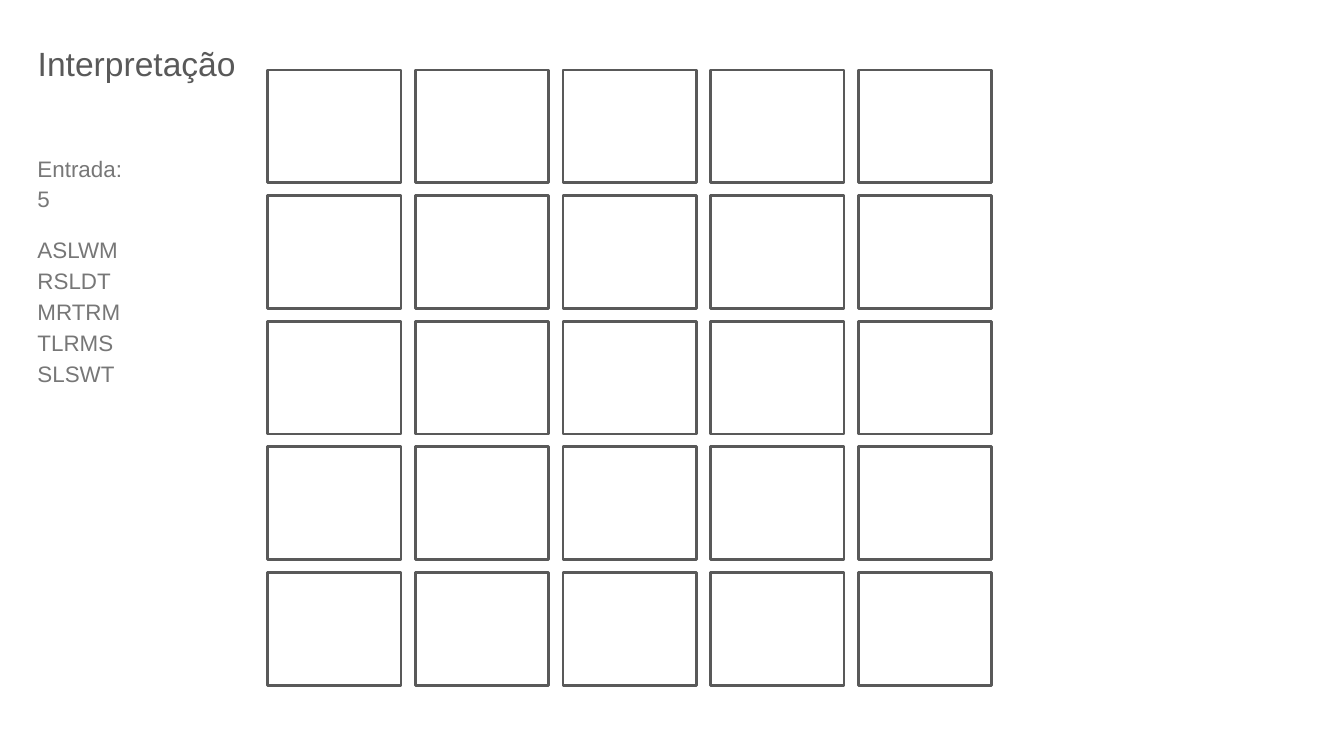
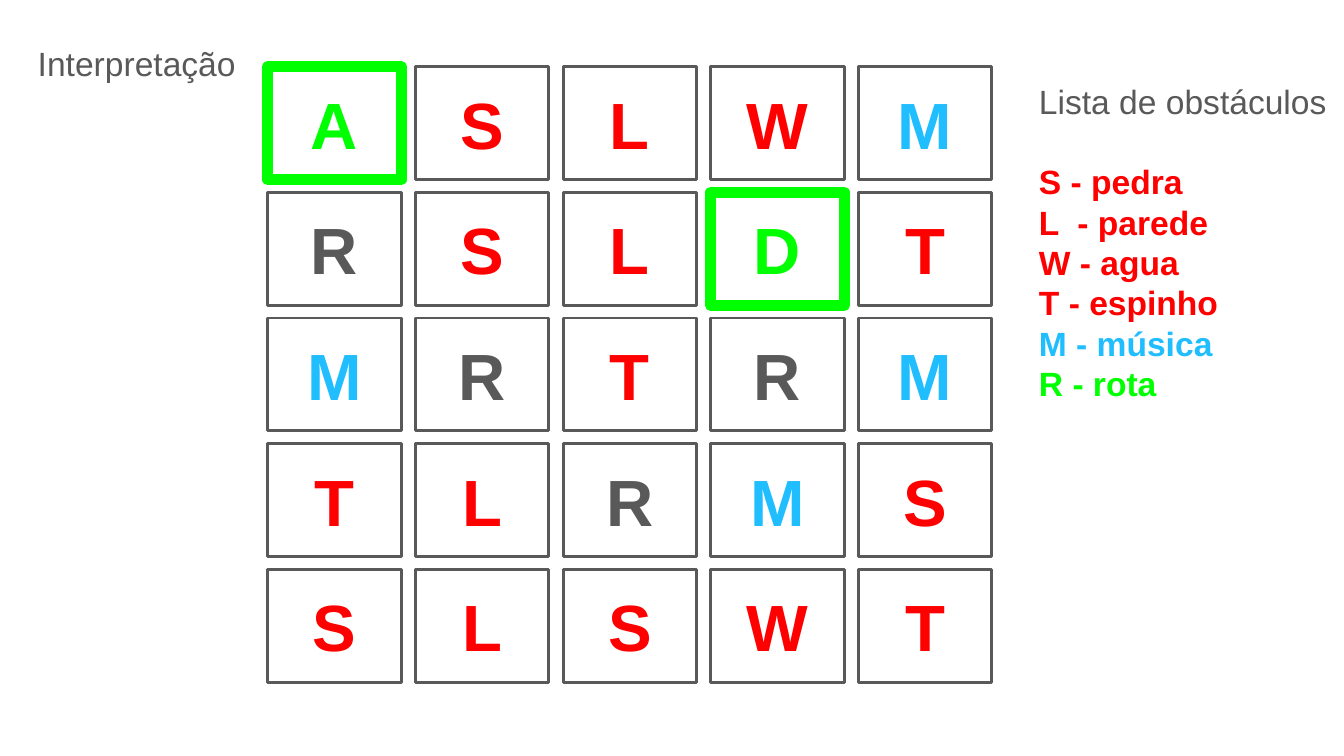
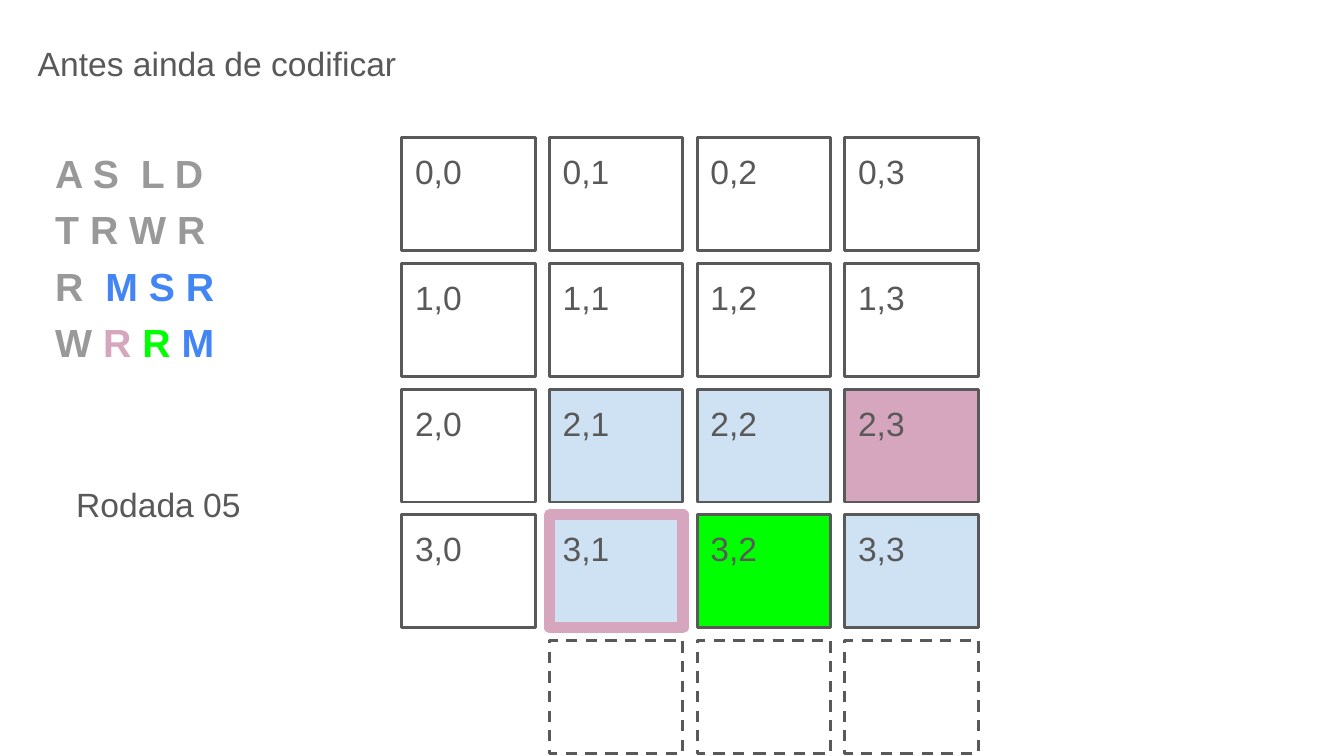
from dataclasses import dataclass

import pptx
import pptx.dml.color
import pptx.enum.dml
import pptx.enum.shapes
import pptx.enum.text
import pptx.util

Pt = pptx.util.Pt
ALIGN = pptx.enum.text.PP_ALIGN
ANCHOR = pptx.enum.text.MSO_ANCHOR


@dataclass(frozen=True)
class Theme:
    font: str = "Arial"
    # Colours
    ink: str = "595959"
    soft: str = "777777"
    pale: str = "999999"
    red: str = "FF0000"
    green: str = "00FF00"
    cyan: str = "20BDFF"
    blue: str = "4285F4"
    sky: str = "CFE2F3"
    pink: str = "D5A6BD"
    # Type sizes
    small: float = 12
    body: float = 18
    code: float = 21
    large: float = 35
    # Line widths
    thin: float = 1.5
    thick: float = 6


THEME = Theme()

# Grid of cells
CELL_W, CELL_H = 71.5, 60.5
STEP_X, STEP_Y = 79.1, 67.3
INSET = 7.2

MAP = ["ASLWM", "RSLDT", "MRTRM", "TLRMS", "SLSWT"]
HUES = {**dict.fromkeys("SLWT", THEME.red), **dict.fromkeys("AD", THEME.green),
        "M": THEME.cyan, "R": THEME.ink}


def rgb(code):
    return pptx.dml.color.RGBColor.from_string(code)


def set_frame(frame, anchor=ANCHOR.TOP, top=INSET):
    frame.word_wrap = True
    frame.auto_size = pptx.enum.text.MSO_AUTO_SIZE.NONE
    frame.vertical_anchor = anchor
    frame.margin_left = frame.margin_right = frame.margin_bottom = Pt(INSET)
    frame.margin_top = Pt(top)


def write(para, runs, size=THEME.body, hue=THEME.ink, bold=False,
          align=ALIGN.LEFT, space=None):
    """Fill a paragraph with a text, or with (text, colour) pairs."""
    para.alignment = align
    para.line_spacing = space
    font = para.font
    font.name, font.size, font.bold = THEME.font, Pt(size), bold
    if isinstance(runs, str):
        font.color.rgb = rgb(hue)
        runs = [(runs, None)]
    for text, shade in runs:
        for index, line in enumerate(text.split("\n")):
            if index:
                para.add_line_break()
            if line:
                run = para.add_run()
                run.text = line
                if shade:
                    run.font.color.rgb = rgb(shade)


def add_slide(deck, title):
    slide = deck.slides.add_slide(deck.slide_layouts[5])
    shape = slide.shapes.title
    shape.left, shape.top, shape.width, shape.height = map(Pt, (13, 16, 294, 33))
    set_frame(shape.text_frame)
    write(shape.text_frame.paragraphs[0], title)
    return slide


def add_text(slide, left, top, width, height, runs, inset=INSET, **style):
    box = slide.shapes.add_textbox(Pt(left), Pt(top), Pt(width), Pt(height))
    set_frame(box.text_frame, top=inset)
    write(box.text_frame.paragraphs[0], runs, **style)
    return box.text_frame


def add_cell(slide, start, row, col, text="", fill=None, edge=THEME.ink,
             weight=THEME.thin, dash=False, anchor=ANCHOR.TOP, **style):
    left, top = start
    cell = slide.shapes.add_shape(
        pptx.enum.shapes.MSO_SHAPE.RECTANGLE,
        Pt(left + col * STEP_X), Pt(top + row * STEP_Y), Pt(CELL_W), Pt(CELL_H))
    cell.shadow.inherit = False
    if fill:
        cell.fill.solid()
        cell.fill.fore_color.rgb = rgb(fill)
    else:
        cell.fill.background()
    cell.line.color.rgb = rgb(edge)
    cell.line.width = Pt(weight)
    if dash:
        cell.line.dash_style = pptx.enum.dml.MSO_LINE.DASH
    if text:
        set_frame(cell.text_frame, anchor)
        write(cell.text_frame.paragraphs[0], text, **style)


def input_slide(deck):
    slide = add_slide(deck, "Interpretação")
    for row in range(5):
        for col in range(5):
            add_cell(slide, (143.4, 37.5), row, col)
    style = dict(size=THEME.small, hue=THEME.soft, space=1.15)
    add_text(slide, 13, 73.5, 98.6, 46, "Entrada:\n5", **style)
    add_text(slide, 13, 90.7, 236, 124.6, "\n".join(MAP), inset=33.8, **style)


def map_slide(deck):
    slide = add_slide(deck, "Interpretação")
    # Lettered cells, with start and goal framed
    for row, line in enumerate(MAP):
        for col, mark in enumerate(line):
            frame = dict(edge=THEME.green, weight=THEME.thick) if mark in "AD" else {}
            add_cell(slide, (143.5, 35.8), row, col, mark, anchor=ANCHOR.MIDDLE,
                     size=THEME.large, hue=HUES[mark], bold=True,
                     align=ALIGN.CENTER, **frame)
    # Legend
    frame = add_text(slide, 549.5, 36, 202.3, 180.7, "Lista de obstáculos")
    para = frame.add_paragraph()
    para.space_before = Pt(21.6)
    write(para, [("S - pedra\nL  - parede\nW - agua\nT - espinho\n", THEME.red),
                 ("M - música\n", THEME.cyan), ("R - rota", THEME.green)], bold=True)


def round_slide(deck):
    slide = add_slide(deck, "Antes ainda de codificar")
    start = (215.3, 73.9)
    fills = {**dict.fromkeys([(2, 1), (2, 2), (3, 1), (3, 3)], THEME.sky),
             (2, 3): THEME.pink, (3, 2): THEME.green}
    for row in range(4):
        for col in range(4):
            spot = (row, col)
            frame = dict(edge=THEME.pink, weight=THEME.thick) if spot == (3, 1) else {}
            add_cell(slide, start, row, col, f"{row},{col}",
                     fill=fills.get(spot), **frame)
    # Cells beyond the edge of the map
    for col in range(1, 4):
        add_cell(slide, start, 4, col, dash=True)
    # Map as text
    add_text(slide, 22.5, 67.7, 159, 131.8, [
        ("A S  L D\nT R W R\nR  ", THEME.pale), ("M S R\n", THEME.blue),
        ("W ", THEME.pale), ("R ", THEME.pink), ("R ", THEME.green),
        ("M", THEME.blue)], size=THEME.code, bold=True, space=1.2)
    add_text(slide, 33.8, 252.2, 148.3, 26.6, "Rodada 05")


def main():
    deck = pptx.Presentation()
    deck.slide_width, deck.slide_height = Pt(720), Pt(405)
    input_slide(deck)
    map_slide(deck)
    round_slide(deck)
    deck.save("out.pptx")


if __name__ == "__main__":
    main()
